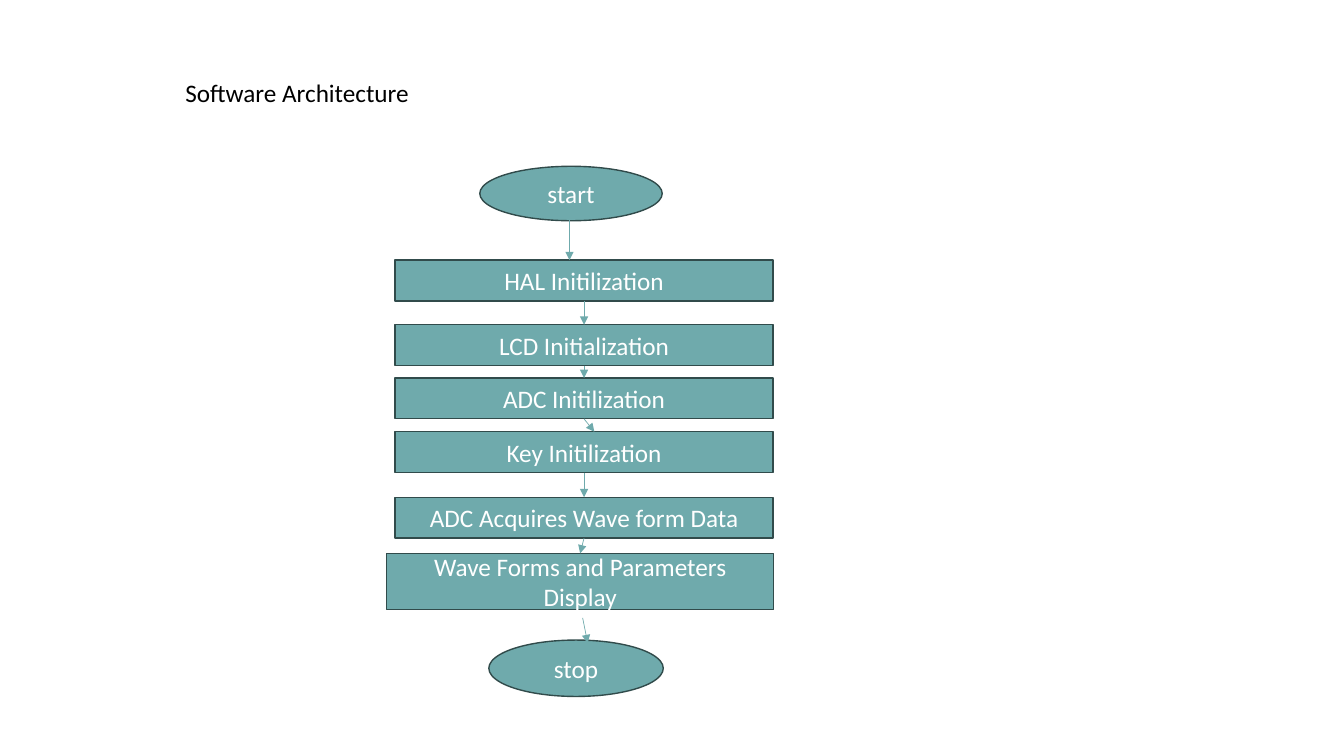
"""Build the software architecture flowchart slide."""
from lxml import etree
from pptx import Presentation
from pptx.dml.color import RGBColor
from pptx.enum.shapes import MSO_CONNECTOR as Line, MSO_SHAPE as Form
from pptx.enum.text import MSO_ANCHOR as Anchor, MSO_AUTO_SIZE as Auto, PP_ALIGN as Align
from pptx.oxml.ns import qn
from pptx.util import Pt

TITLE = "Software Architecture"
TEAL, DARK, WHITE, BLACK = "6FAAAC", "314B4B", "FFFFFF", "000000"
LEFT, WIDE, HIGH = 282.2, 270, 29.2
ENDS = [
    ("start", 342.7, 118.8, 130.3, 38.9),
    ("stop", 349.2, 457.2, 124.6, 40.3),
]
STEPS = [
    ("HAL Initilization", 185.8),
    ("LCD Initialization", 232),
    ("ADC Initilization", 270),
    ("Key Initilization", 308.4),
    ("ADC Acquires Wave form Data", 355.2),
]
LAST = ("Wave Forms and Parameters Display", 276.2, 395.3, 276.4, 40.3)
LOOSE = [(406.8, 151.9, 406.8, 185.8), (416.2, 441.4, 419.8, 459.4)]
SKEWED, SHIFT = 2, 7.4


def paint(color, code):
    color.rgb = RGBColor.from_string(code)


def write(frame, text, code):
    run = frame.paragraphs[0].add_run()
    run.text = text
    run.font.name, run.font.size = "Calibri", Pt(18)
    paint(run.font.color, code)


def add_node(slide, form, text, x, y, w, h):
    node = slide.shapes.add_shape(form, Pt(x), Pt(y), Pt(w), Pt(h))
    node.shadow.inherit = False
    node.fill.solid()
    paint(node.fill.fore_color, TEAL)
    paint(node.line.color, DARK)
    node.line.width = Pt(1)
    frame = node.text_frame
    frame.word_wrap = True
    frame.vertical_anchor = Anchor.MIDDLE
    frame.paragraphs[0].alignment = Align.CENTER
    write(frame, text, WHITE)
    return node


def add_arrow(slide, x1, y1, x2, y2):
    arrow = slide.shapes.add_connector(Line.STRAIGHT, Pt(x1), Pt(y1), Pt(x2), Pt(y2))
    paint(arrow.line.color, TEAL)
    arrow.line.width = Pt(0.5)
    etree.SubElement(arrow.line._get_or_add_ln(), qn("a:tailEnd"), type="triangle")
    etree.SubElement(arrow._element.spPr, qn("a:effectLst"))
    return arrow


def main():
    deck = Presentation()
    deck.slide_width, deck.slide_height = Pt(960), Pt(540)
    slide = deck.slides.add_slide(deck.slide_layouts[6])

    title = slide.shapes.add_textbox(Pt(125.3), Pt(51.8), Pt(658), Pt(29))
    title.text_frame.word_wrap = True
    title.text_frame.auto_size = Auto.SHAPE_TO_FIT_TEXT
    write(title.text_frame, TITLE, BLACK)

    for end in ENDS:
        add_node(slide, Form.OVAL, *end)
    boxes = [(text, LEFT, top, WIDE, HIGH) for text, top in STEPS] + [LAST]
    nodes = [add_node(slide, Form.RECTANGLE, *box) for box in boxes]

    for ends in LOOSE:
        add_arrow(slide, *ends)
    mid = LEFT + WIDE / 2
    for i, (above, below) in enumerate(zip(nodes, nodes[1:])):
        top = boxes[i][2] + HIGH
        arrow = add_arrow(slide, mid, top, mid + SHIFT, boxes[i + 1][2])
        arrow.begin_connect(above, 2)
        if i != SKEWED:
            arrow.end_connect(below, 0)

    deck.save("out.pptx")


if __name__ == "__main__":
    main()
